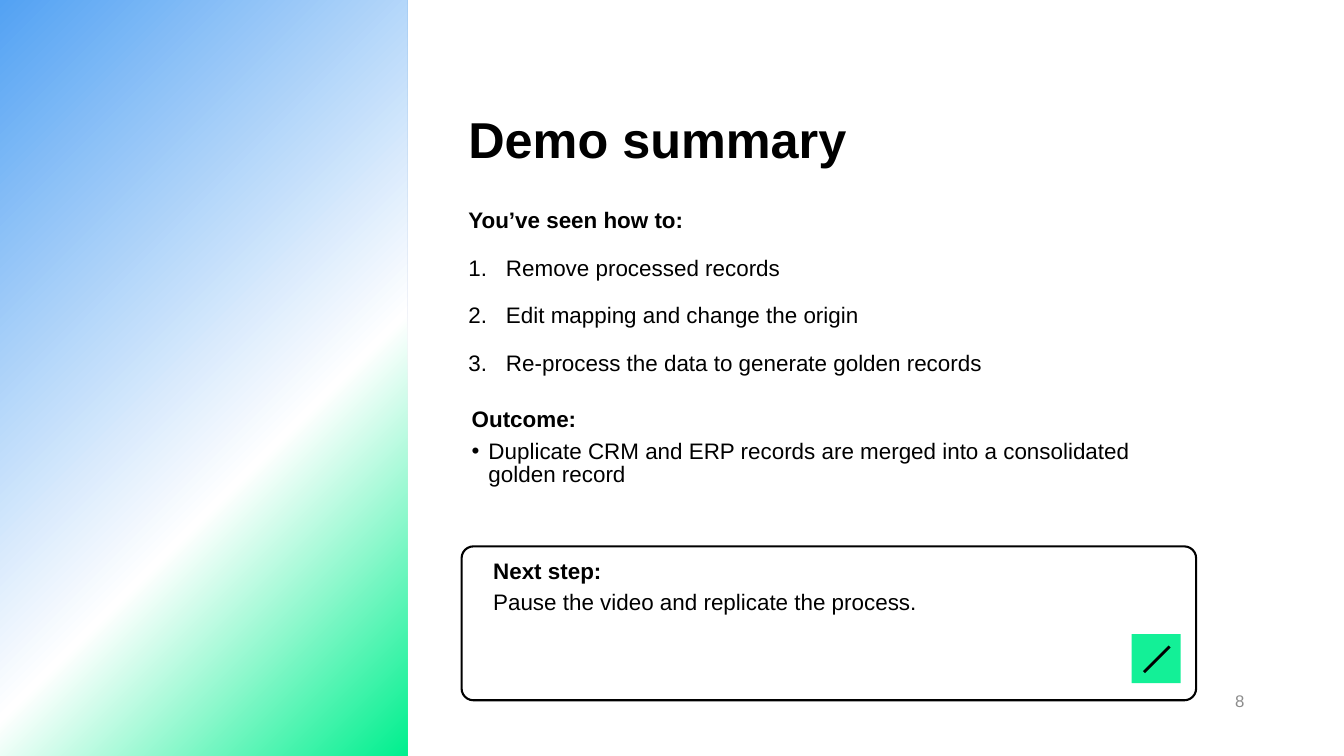
import pptx
import pptx.dml.color
import pptx.enum.shapes
import pptx.enum.text
import pptx.oxml
import pptx.oxml.ns
import pptx.util

Pt = pptx.util.Pt
SHAPES = pptx.enum.shapes.MSO_SHAPE
ANCHOR = pptx.enum.text.MSO_ANCHOR
ALIGN = pptx.enum.text.PP_ALIGN
NAMESPACE = pptx.oxml.ns.nsdecls("a")

BLACK = "000000"
CONTENT_LEFT, CONTENT_WIDTH = 494.6, 787
NUMBERED = '<a:buFont %s typeface="+mj-lt"/>' % NAMESPACE, '<a:buAutoNum %s type="arabicPeriod"/>' % NAMESPACE
BULLETED = '<a:buFont %s typeface="Arial"/>' % NAMESPACE, '<a:buChar %s char="•"/>' % NAMESPACE
PLAIN = ('<a:buNone %s/>' % NAMESPACE,)


def color(value):
    return pptx.dml.color.RGBColor.from_string(value)


def apply_values(target, values):
    for name, value in values.items():
        setattr(target, name, value)


def place(shape, box):
    lengths = [Pt(length) for length in box]
    apply_values(shape, dict(zip(("left", "top", "width", "height"), lengths)))


def prepare_frame(shape, anchor=ANCHOR.TOP, inset=(7.2, 3.6)):
    horizontal, vertical = (Pt(length) for length in inset)
    frame = shape.text_frame
    apply_values(frame, {
        "word_wrap": True,
        "auto_size": pptx.enum.text.MSO_AUTO_SIZE.NONE,
        "vertical_anchor": anchor,
        "margin_left": horizontal,
        "margin_right": horizontal,
        "margin_top": vertical,
        "margin_bottom": vertical,
    })
    return frame


def write_run(paragraph, text, size=24, bold=False, text_color=BLACK):
    run = paragraph.add_run()
    run.text = text
    apply_values(run.font, {"name": "Arial", "size": Pt(size), "bold": bold})
    run.font.color.rgb = color(text_color)


def format_bullet(paragraph, bullet, indent):
    properties = paragraph._p.get_or_add_pPr()
    properties.set("marL", str(Pt(indent)))
    properties.set("indent", str(-Pt(indent)))
    if indent:
        properties.append(pptx.oxml.parse_xml(
            f'<a:buClr {NAMESPACE}><a:srgbClr val="{BLACK}"/></a:buClr>'))
    for element in bullet:
        properties.append(pptx.oxml.parse_xml(element))


def write_section(frame, heading, items, bullet=PLAIN, indent=0, line=24, gap=10):
    for index, text in enumerate([heading, *items]):
        is_heading = index == 0
        paragraph = frame.paragraphs[0] if is_heading else frame.add_paragraph()
        apply_values(paragraph, {
            "alignment": ALIGN.LEFT,
            "line_spacing": Pt(line),
            "space_before": Pt(0 if is_heading else gap),
            "space_after": Pt(0),
        })
        format_bullet(paragraph, PLAIN if is_heading else bullet, 0 if is_heading else indent)
        write_run(paragraph, text, bold=is_heading)


def add_box(shapes, kind, box, fill):
    shape = shapes.add_shape(kind, *[Pt(length) for length in box])
    shape.shadow.inherit = False
    shape.fill.solid()
    shape.fill.fore_color.rgb = color(fill)
    shape.line.fill.background()
    return shape


def add_text_box(slide, box, **frame_values):
    return prepare_frame(slide.shapes.add_textbox(*[Pt(length) for length in box]), **frame_values)


def add_gradient_panel(slide, box):
    panel = add_box(slide.shapes, SHAPES.ROUNDED_RECTANGLE, box, "FFFFFF")
    panel.adjustments[0] = 0
    stops = "".join(
        f'<a:gs pos="{position * 1000}"><a:srgbClr val="{value}"/></a:gs>'
        for position, value in ((0, "53A2F3"), (62, "FFFFFF"), (100, "00EF8E")))
    gradient = pptx.oxml.parse_xml(
        f'<a:gradFill {NAMESPACE} rotWithShape="1"><a:gsLst>{stops}</a:gsLst>'
        '<a:lin ang="2700000" scaled="0"/></a:gradFill>')
    properties = panel._element.spPr
    properties.replace(properties.find(pptx.oxml.ns.qn("a:solidFill")), gradient)


def add_title(slide, box):
    title = slide.shapes.title
    place(title, box)
    paragraph = prepare_frame(title, ANCHOR.MIDDLE).paragraphs[0]
    apply_values(paragraph, {"alignment": ALIGN.LEFT, "line_spacing": 0.9})
    write_run(paragraph, "Demo summary", size=54, bold=True)


def add_steps(slide, box):
    body = slide.placeholders[1]
    place(body, box)
    write_section(prepare_frame(body), "You’ve seen how to:", [
        "Remove processed records",
        "Edit mapping and change the origin",
        "Re-process the data to generate golden records",
    ], NUMBERED, indent=40.3, line=36, gap=15)


def add_outcome(slide, box):
    frame = add_text_box(slide, box, inset=(10.8, 5))
    write_section(frame, "Outcome:", [
        "Duplicate CRM and ERP records are merged into a consolidated golden record",
    ], BULLETED, indent=18)


def add_slash_icon(slide, box):
    left, top, size, _ = box
    margin = 13.3
    group = slide.shapes.add_group_shape()
    add_box(group.shapes, SHAPES.RECTANGLE, box, "13F097")
    slash = group.shapes.add_connector(
        pptx.enum.shapes.MSO_CONNECTOR.STRAIGHT,
        Pt(left + size - margin + 1.5), Pt(top + margin),
        Pt(left + margin), Pt(top + size - margin + 1.5))
    slash.line.width = Pt(3)
    slash.line.color.rgb = color(BLACK)
    slash._element.spPr.append(pptx.oxml.parse_xml(f"<a:effectLst {NAMESPACE}/>"))


def add_next_step(slide, box):
    left, top, width, height = box
    card = add_box(slide.shapes, SHAPES.ROUNDED_RECTANGLE, box, "FFFFFF")
    card.adjustments[0] = 0.077
    card.line.color.rgb = color(BLACK)
    card.line.width = Pt(2.25)
    frame = add_text_box(slide, (left + 23, top + 10.8, 628, 142), inset=(10.8, 5))
    write_section(frame, "Next step:", ["Pause the video and replicate the process."])
    icon = 52.6
    add_slash_icon(slide, (left + width - icon - 16.6, top + height - icon - 18.3, icon, icon))


def add_slide_number(slide, box):
    paragraph = add_text_box(slide, box, anchor=ANCHOR.MIDDLE).paragraphs[0]
    paragraph.alignment = ALIGN.RIGHT
    write_run(paragraph, "8", size=18, text_color="8C8C8C")


def main():
    presentation = pptx.Presentation()
    presentation.slide_width, presentation.slide_height = Pt(1440), Pt(810)
    slide = presentation.slides.add_slide(presentation.slide_layouts[1])
    add_gradient_panel(slide, (0, 0, 436.3, 810))
    add_title(slide, (CONTENT_LEFT, 95, CONTENT_WIDTH, 114.5))
    add_steps(slide, (CONTENT_LEFT, 210.2, CONTENT_WIDTH, 205.2))
    add_outcome(slide, (CONTENT_LEFT, 434.2, CONTENT_WIDTH, 114.5))
    add_next_step(slide, (CONTENT_LEFT, 585.4, CONTENT_WIDTH, 164.9))
    add_slide_number(slide, (1016.6, 729.4, 324, 43.2))
    presentation.save("out.pptx")


if __name__ == "__main__":
    main()
